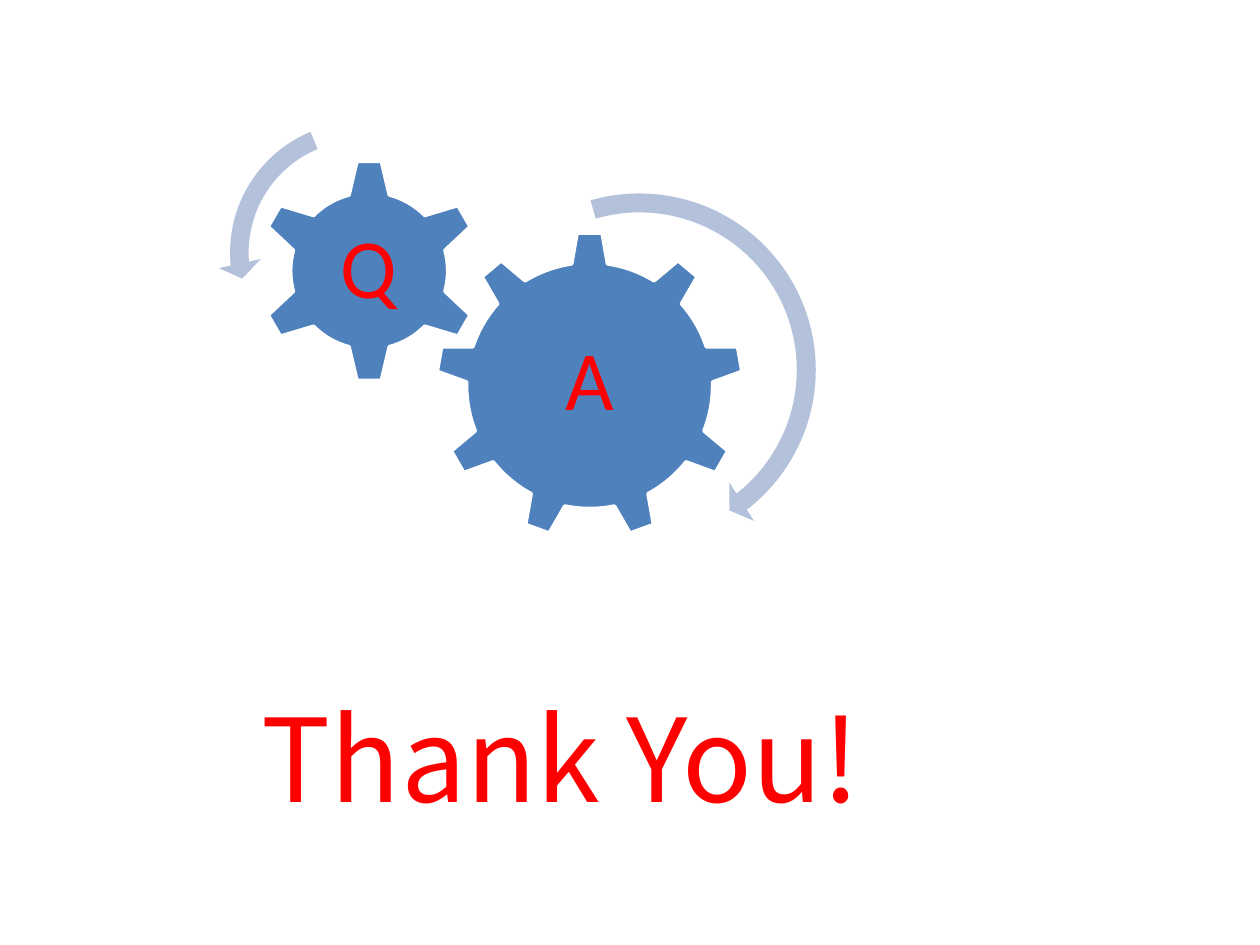
from pptx import Presentation
from pptx.dml.color import RGBColor as Rgb
from pptx.enum.shapes import MSO_SHAPE as Kind
from pptx.enum.text import MSO_ANCHOR as Anchor, PP_ALIGN as Align
from pptx.util import Inches, Pt

CELL = 0.1  # grid of 100 columns by 75 rows
RED, BLUE, PALE, WHITE = "FF0000", "4F81BD", "B3C1DB", "FFFFFF"


def tint(code):
    return Rgb.from_string(code)


def write(frame, text, size, font, color=RED, anchor=Anchor.TOP, pad=None,
          space=None):
    frame.word_wrap = True
    frame.vertical_anchor = anchor
    if pad is not None:
        frame.margin_left = frame.margin_right = Inches(pad)
        frame.margin_top = frame.margin_bottom = Inches(pad)
    para = frame.paragraphs[0]
    para.alignment = Align.CENTER
    para.line_spacing = space
    run = para.add_run()
    run.text = text
    run.font.size = Pt(size)
    run.font.name = font
    run.font.color.rgb = tint(color)


class Deck:
    def __init__(self):
        self.show = Presentation()
        self.show.slide_width = Inches(100 * CELL)
        self.show.slide_height = Inches(75 * CELL)
        self.slide = self.show.slides.add_slide(self.show.slide_layouts[6])

    def place(self, *cells):
        return [Inches(cell * CELL) for cell in cells]

    def shape(self, kind, col, row, side, fill):
        item = self.slide.shapes.add_shape(
            kind, *self.place(col, row, side, side))
        item.shadow.inherit = False
        item.fill.solid()
        item.fill.fore_color.rgb = tint(fill)
        return item

    def gear(self, kind, col, row, side, text):
        item = self.shape(kind, col, row, side, BLUE)
        item.line.color.rgb = tint(WHITE)
        item.line.width = Pt(2)
        write(item.text_frame, text, 48, "Calibri", anchor=Anchor.MIDDLE,
              pad=0.07, space=0.9)

    def arrow(self, kind, col, row, side, thick, head, tip, start, end):
        item = self.shape(kind, col, row, side, PALE)
        item.line.fill.background()
        # Angles are in degrees, 0.6 adjustment units each
        values = (thick, head * 0.6, tip * 0.6, start * 0.6, end)
        for i, value in enumerate(values):
            item.adjustments[i] = value

    def label(self, col, row, wide, high, text, **style):
        box = self.slide.shapes.add_textbox(
            *self.place(col, row, wide, high))
        write(box.text_frame, text, **style)


def main():
    deck = Deck()

    # Closing words
    deck.label(2, 54, 85, 16.4, "Thank You!", size=66,
               font="Noto Sans CJK SC")

    # Meshing gears
    deck.gear(Kind.GEAR_9, 34.6, 18.4, 24.4, "A")
    deck.gear(Kind.GEAR_6, 20.4, 12.6, 17.8, "Q")

    # Turning arrows
    deck.arrow(Kind.CIRCULAR_ARROW, 35.7, 14.3, 30.1,
               0.05, 5.21, 52.22, 253.9, 0.06)
    deck.arrow(Kind.LEFT_CIRCULAR_ARROW, 17.3, 8.7, 22.7,
               0.065, 7.17, 174.82, 247.3, 0.075)

    deck.show.save("out.pptx")


if __name__ == "__main__":
    main()
